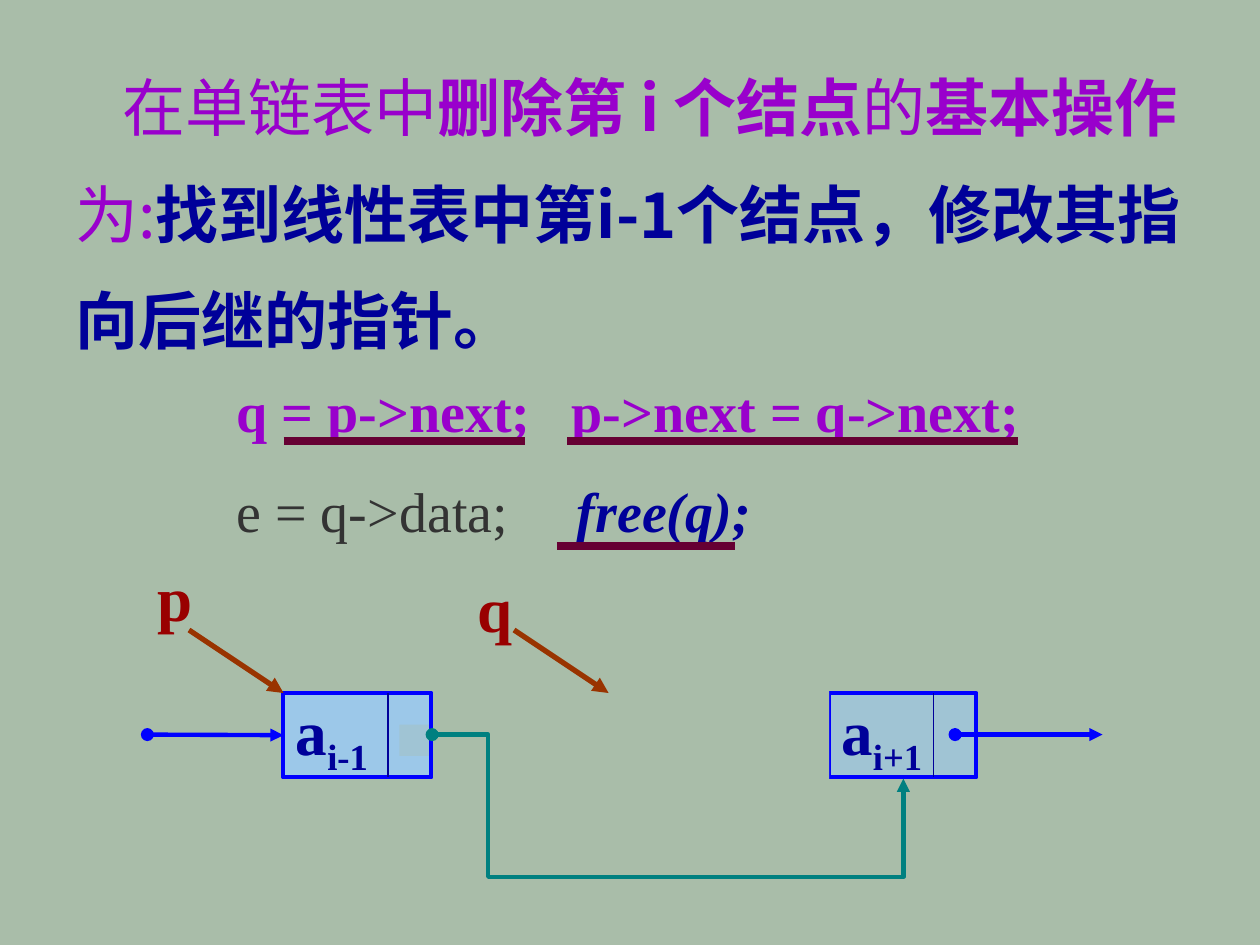
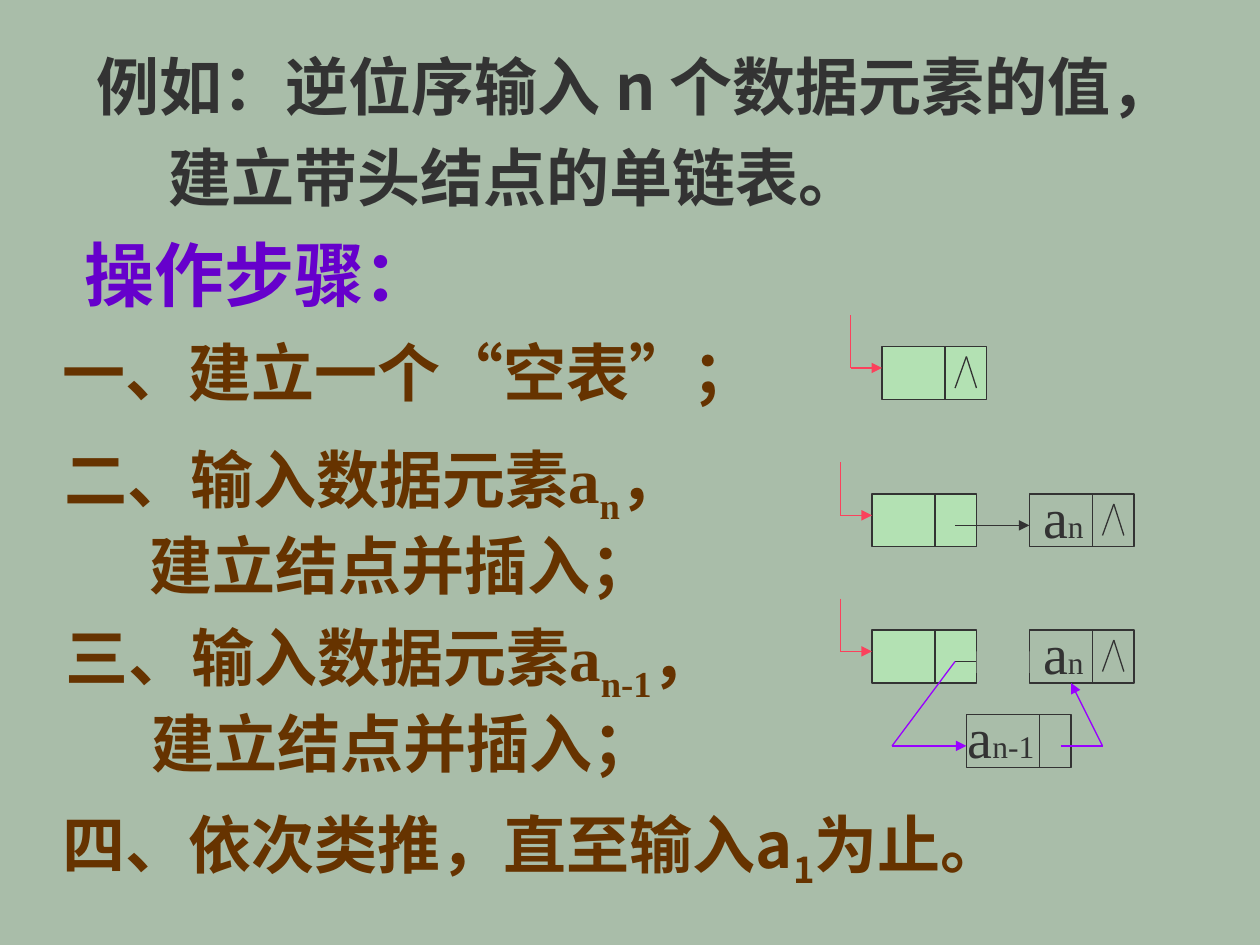
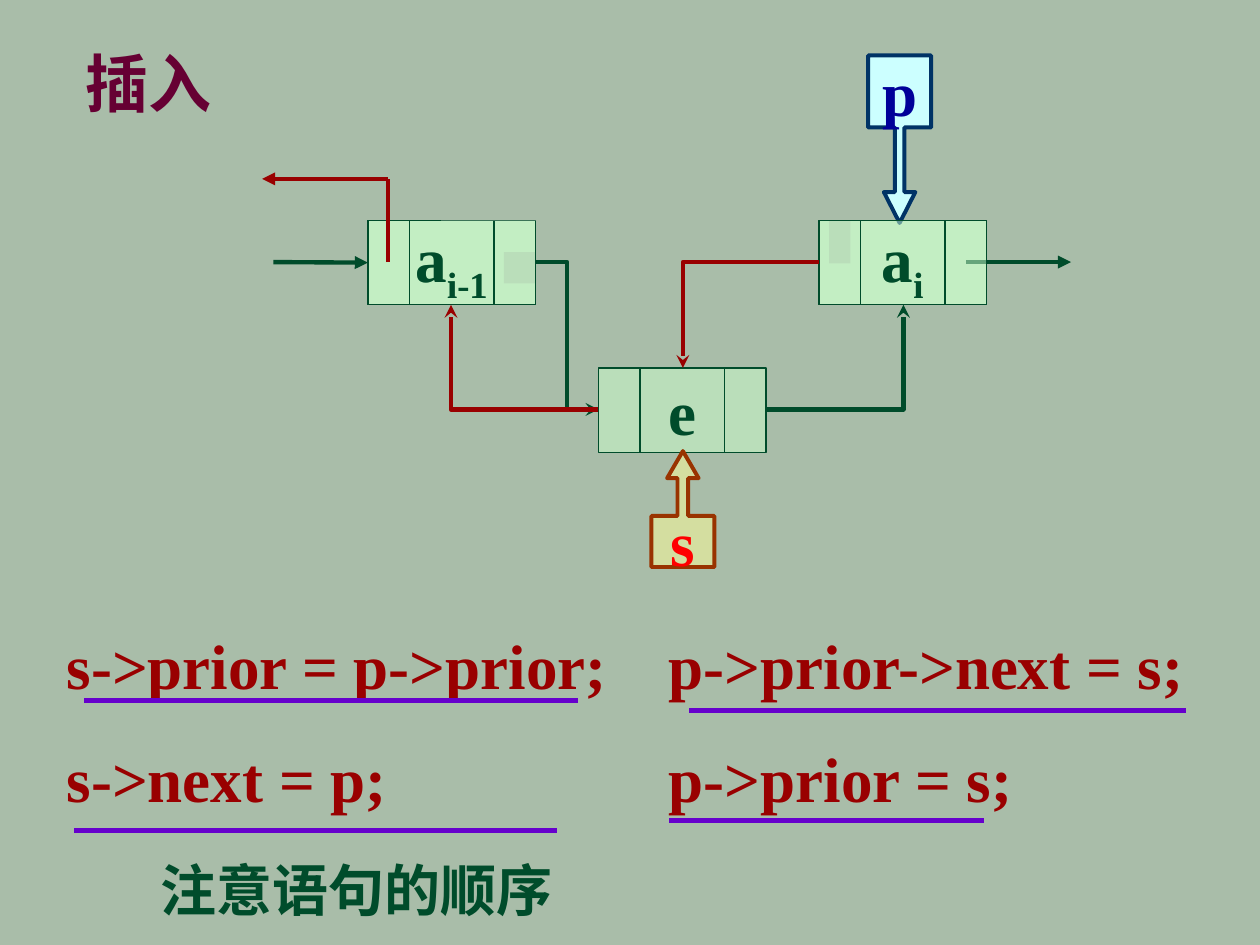
from lxml.etree import SubElement
from pptx import Presentation
from pptx.dml.color import RGBColor
from pptx.enum.shapes import MSO_CONNECTOR as Connector, MSO_SHAPE as Shape
from pptx.enum.text import MSO_ANCHOR as Anchor, MSO_AUTO_SIZE as AutoSize, PP_ALIGN as Align
from pptx.oxml.ns import qn
from pptx.util import Inches, Pt

SAGE = RGBColor(0xA9, 0xBD, 0xA9)
VIOLET = RGBColor(0x99, 0x00, 0xCC)
PURPLE = RGBColor(0x66, 0x00, 0xCC)
LILAC = RGBColor(0x99, 0x00, 0xFF)
NAVY = RGBColor(0x00, 0x00, 0x99)
BLUE = RGBColor(0x00, 0x00, 0xFF)
SKY = RGBColor(0x99, 0xCC, 0xFF)
TEAL = RGBColor(0x00, 0x80, 0x80)
DARK = RGBColor(0x33, 0x33, 0x33)
RUST = RGBColor(0x99, 0x33, 0x00)
BROWN = RGBColor(0x66, 0x33, 0x00)
RED = RGBColor(0x99, 0x00, 0x00)
BRIGHT_RED = RGBColor(0xFF, 0x00, 0x00)
ROSE = RGBColor(0xFB, 0x41, 0x5C)
WINE = RGBColor(0x66, 0x00, 0x33)
MINT = RGBColor(0xB3, 0xE1, 0xB3)
PALE_GREEN = RGBColor(0xCC, 0xFF, 0xCC)
FOREST = RGBColor(0x00, 0x4C, 0x2B)
ICE = RGBColor(0xCC, 0xFF, 0xFF)
STEEL = RGBColor(0x00, 0x33, 0x66)
CREAM = RGBColor(0xFF, 0xFF, 0x99)

CJK, ROMAN = "Noto Sans CJK SC", "Times New Roman"
LABEL = dict(size=36, font=ROMAN, bold=True)
STEP = dict(size=36, font=CJK, bold=True, color=BROWN)
SMALL = dict(size=32, font=ROMAN, color=DARK)
SUB, NORMAL = dict(base=-25), dict(base=0)

DELETE_TEXT = [[
    ("\t", dict(size=40, font=CJK, color=VIOLET)),
    ("在单链表中", dict(size=36)), ("删除第 i 个结点", dict(bold=True)),
    ("的", dict(bold=False)), ("基本操作", dict(bold=True)), ("为:", dict(bold=False)),
    ("找到线性表中第i-1个结点，修改其指向后继的指针。", dict(color=NAVY, bold=True))]]
DELETE_CODE = [
    [("q = p->next;\tp->next = q->next;", dict(size=32, font=ROMAN, color=VIOLET, bold=True))],
    [("e = q->data;\t", dict(color=DARK, bold=False)),
     ("free(q);", dict(color=NAVY, bold=True, italic=True))]]
DELETE_POINTERS = [("p", 1.15, 4.38, 1.5), ("q", 3.69, 4.47, 4.08)]
DELETE_RULES = [(1.5 + 0.75, 4.17, 3.5), (4.5, 8.08, 3.5), (4.42, 5.83, 4.33)]

EXAMPLE = [[("例如：逆位序输入 n 个数据元素的值，", dict(size=36, font=CJK, bold=True, color=DARK))],
           [("建立带头结点的单链表。", {})]]
HEADINGS = [
    ("操作步骤：", (0.57, 1.79, 3.01, 0.77), 40, PURPLE),
    ("一、建立一个“空表”；", (0.4, 2.6, 5.74, 0.7), 36, BROWN)]
INSERT_STEPS = [("二、输入数据元素", "n", 0.41, 3.45), ("三、输入数据元素", "n-1", 0.42, 4.86)]
LAST_STEP = [[("四、依次类推，直至输入a", STEP), ("1", SUB), ("为止。", NORMAL)]]
HEAD_NODES = [(7, 2.75), (6.92, 3.92), (6.92, 5)]
TAIL_NODES = [(8.17, 3.92), (8.17, 5)]

INSERT_CODE = [
    [("s->prior = p->prior;\tp->prior->next = s;", dict(LABEL, color=RED))],
    [("s->next = p;\tp->prior = s;", {})]]
INSERT_RULES = [(0.67, 4.59, 5.56), (5.47, 9.41, 5.64), (0.59, 4.42, 6.59), (5.31, 7.81, 6.51)]
CALLOUTS = [
    ("p", Shape.DOWN_ARROW_CALLOUT, (6.89, 0.44, 0.5, 1.33), (0.15, 0.25, 0.49, 0.43),
     ICE, None, STEEL, NAVY),
    ("s", Shape.UP_ARROW_CALLOUT, (5.17, 3.58, 0.5, 0.92), (0.17, 0.25, 0.43, 0.44),
     CREAM, 50, RUST, BRIGHT_RED)]
INSERT_LINKS = [
    ((6.08, 3.25), (7.17, 2.42), FOREST, "bentConnector2"),
    ((4.25, 2.08), (4.75, 3.25), FOREST, "bentConnector3"),
    ((6.5, 2.08), (5.42, 2.92), RED, "bentConnector2"),
    ((4.75, 3.25), (3.58, 2.42), RED, "bentConnector2")]


def write(shape, paragraphs, align=Align.LEFT, spacing=None, before=None, indents=(), tabs=(),
          wrap=False, anchor=Anchor.TOP, grow=True):
    """Fill a shape with paragraphs whose runs inherit the format of the run before."""
    frame = shape.text_frame
    settings = dict(word_wrap=wrap, vertical_anchor=anchor,
                    auto_size=AutoSize.SHAPE_TO_FIT_TEXT if grow else AutoSize.NONE)
    for name, value in settings.items():
        setattr(frame, name, value)
    style = {}
    for index, runs in enumerate(paragraphs):
        paragraph = frame.add_paragraph() if index else frame.paragraphs[0]
        for name, value in dict(alignment=align, line_spacing=spacing, space_before=before).items():
            setattr(paragraph, name, value)
        properties = paragraph._p.get_or_add_pPr()
        if indents:
            properties.set("marL", str(Inches(indents[index])))
        if tabs:
            tab_list = SubElement(properties, qn("a:tabLst"))
            SubElement(tab_list, qn("a:tab"), pos=str(Inches(tabs[index])), algn="l")
        for text, changes in runs:
            style = {**style, **changes}
            add_run(paragraph, text, style)


def add_run(paragraph, text, style):
    """Add one run in the given style."""
    run = paragraph.add_run()
    run.text = text
    font = run.font
    formats = dict(size=Pt(style["size"]), name=style["font"], bold=style.get("bold", False),
                   italic=style.get("italic", False))
    for name, value in formats.items():
        setattr(font, name, value)
    font.color.rgb = style["color"]
    properties = run._r.get_or_add_rPr()
    SubElement(properties, qn("a:ea"), typeface=CJK)
    if style.get("base"):
        properties.set("baseline", str(style["base"] * 1000))


def add_text(slide, bounds, paragraphs, **options):
    """Add a text box."""
    write(slide.shapes.add_textbox(*map(Inches, bounds)), paragraphs, **options)


def add_box(slide, bounds, fill=None, alpha=None, line=None, width=0.75, kind=Shape.RECTANGLE):
    """Add a flat shape, with an optional fill, opacity and outline."""
    shape = slide.shapes.add_shape(kind, *map(Inches, bounds))
    shape.shadow.inherit = False
    if fill is None:
        shape.fill.background()
    else:
        shape.fill.solid()
        shape.fill.fore_color.rgb = fill
    if alpha:
        color = shape._element.spPr.find(qn("a:solidFill"))[0]
        SubElement(color, qn("a:alpha"), val=str(alpha * 1000))
    if line is None:
        shape.line.fill.background()
    else:
        shape.line.color.rgb = line
        shape.line.width = Pt(width)
    return shape


def add_line(slide, start, end, color, width=0.75, head=None, tail=None, bend=None, bends=(),
             target=None):
    """Add a straight or bent connector, joined to the left side of a target if given."""
    kind = Connector.ELBOW if bend else Connector.STRAIGHT
    connector = slide.shapes.add_connector(kind, *map(Inches, (*start, *end)))
    connector.line.color.rgb = color
    connector.line.width = Pt(width)
    properties = connector._element.spPr
    if bend:
        geometry = properties.find(qn("a:prstGeom"))
        geometry.set("prst", bend)
        guides = geometry.find(qn("a:avLst"))
        for number, value in enumerate(bends, 1):
            SubElement(guides, qn("a:gd"), name=f"adj{number}", fmla=f"val {value}")
    outline = properties.find(qn("a:ln"))
    for tag, end_type in (("a:headEnd", head), ("a:tailEnd", tail)):
        if end_type:
            SubElement(outline, qn(tag), type=end_type)
    SubElement(properties, qn("a:effectLst"))
    if target is not None:
        connector.end_connect(target, 1)


def add_rules(slide, rules, color, width):
    """Underline code statements."""
    for left, right, y in rules:
        add_line(slide, (left, y), (right, y), color, width)


def add_node(slide, bounds, name, subscript, fill, line, width, color, align=Align.LEFT):
    """Add a half transparent list node with its label."""
    node = add_box(slide, bounds, fill, 50, line, width)
    runs = [(name, dict(LABEL, color=color))] + ([(subscript, SUB)] if subscript else [])
    write(node, [runs], align=align, anchor=Anchor.MIDDLE, grow=False)
    return node


def add_dividers(slide, left, top, height, color, offsets):
    """Divide a node into fields."""
    for offset in offsets:
        add_line(slide, (left + offset, top), (left + offset, top + height), color)


def build_delete(slide):
    """Show how a node is deleted."""
    top, height, middle = 5.5, 0.67, 5.83
    arrow = dict(color=BLUE, width=2.5, head="oval", tail="triangle")

    def node(left, subscript):
        return add_node(slide, (left, top, 1.17, height), "a", subscript, SKY, BLUE, 2.25, NAVY)

    add_text(slide, (0.5, 0.17, 9.02, 2.72), DELETE_TEXT, spacing=1.4, tabs=[0.37], wrap=True)
    before = node(2.25, "i-1")
    add_line(slide, (1.17, middle), (2.25, middle), target=before, **arrow)
    node(6.58, "i+1")
    add_dividers(slide, 6.58, top, height, NAVY, [0.83])
    add_line(slide, (7.58, middle), (8.75, middle), **arrow)
    add_box(slide, (3.17, 5.75, 1.25, 0.25), SAGE)
    node(2.25, "i-1")
    add_dividers(slide, 2.25, top, height, NAVY, [0.83])
    add_line(slide, (3.43, middle), (7.17, 6.18), TEAL, 2.5, "oval", "triangle",
             "bentConnector4", (11900, 322400))
    add_box(slide, (4.33, 5.42, 2.25, 0.92), SAGE)
    add_text(slide, (1.78, 2.67, 6.64, 1.7), DELETE_CODE, spacing=1.5, tabs=[2.66, 2.7], wrap=True)
    for name, left, label_top, start in DELETE_POINTERS:
        add_line(slide, (start, 5), (start + 0.75, 5.5), RUST, 3, tail="triangle")
        add_text(slide, (left, label_top, 0.48, 0.7), [[(name, dict(LABEL, color=RED))]])
    add_rules(slide, DELETE_RULES, WINE, 4.5)


def build_example(slide):
    """Show how a list is built from its last element."""
    add_text(slide, (0.67, 0.21, 9.08, 1.54), EXAMPLE, spacing=1.2, indents=[0, 0.57], wrap=True)
    for text, bounds, size, color in HEADINGS:
        add_text(slide, bounds, [[(text, dict(LABEL, size=size, color=color))]])
    for text, subscript, left, top in INSERT_STEPS:
        first = [(text, STEP), ("a", dict(font=ROMAN)), (subscript, SUB), ("，", NORMAL)]
        add_text(slide, (left, top, 5.92, 1.3), [first, [("建立结点并插入；", {})]],
                 indents=[0, 0.68], wrap=True)
    add_text(slide, (0.4, 6.34, 7.67, 0.7), LAST_STEP)

    def cell(left, top, fill=None, divider=0.5):
        add_box(slide, (left, top, 0.83, 0.42), fill, line=DARK)
        add_dividers(slide, left, top, 0.42, DARK, [divider])

    def null_mark(left, top):
        for foot in (0.58, 0.75):
            add_line(slide, (left + 0.67, top + 0.08), (left + foot, top + 0.33), DARK)

    def element(left, top, width, subscript):
        add_text(slide, (left, top - 0.14, width, 0.63),
                 [[("a", SMALL), (subscript, dict(size=18))]])

    for left, top in HEAD_NODES:
        cell(left, top, MINT)
        corner = (left - 0.25, top + 0.17)
        add_line(slide, corner, (left, top + 0.17), ROSE, tail="triangle")
        add_line(slide, (left - 0.25, top - 0.25), corner, ROSE)
    null_mark(*HEAD_NODES[0])
    for left, top in TAIL_NODES:
        cell(left, top)
        null_mark(left, top)
        add_line(slide, (7.58, top + 0.25), (left, top + 0.25), DARK, tail="triangle")
        element(left + 0.01, top, 0.52, "n")
    cell(7.67, 5.67, divider=0.58)
    element(7.58, 5.67, 0.73, "n-1")
    for start, end, tail in [((8.42, 5.92), (8.75, 5.92), None),
                             ((8.75, 5.92), (8.5, 5.42), "triangle"),
                             ((7.58, 5.25), (7.08, 5.92), None),
                             ((7.08, 5.92), (7.67, 5.92), "triangle")]:
        add_line(slide, start, end, LILAC, tail=tail)
    add_box(slide, (7.75, 5.17, 0.42, 0.17), SAGE)


def build_insert(slide):
    """Show how a node is inserted in a doubly linked list."""
    top, middle = 1.75, 2.08

    def node(left, node_top, name, subscript=None):
        return add_node(slide, (left, node_top, 1.33, 0.67), name, subscript,
                        PALE_GREEN, FOREST, 0.75, FOREST, Align.CENTER)

    def divide(left, node_top):
        add_dividers(slide, left, node_top, 0.67, FOREST, [0.33, 1])

    title = slide.shapes.title
    for name, value in zip(("left", "top", "width", "height"), (0.58, 0.3, 1.21, 0.7)):
        setattr(title, name, Inches(value))
    write(title, [[("插入", dict(LABEL, color=WINE))]])
    before = node(2.92, top, "a", "i-1")
    add_line(slide, (2.17, middle), (2.92, middle), FOREST, 2.5, tail="triangle", target=before)
    node(6.5, top, "a", "i")
    add_line(slide, (7.67, middle), (8.5, middle), FOREST, 2.5, tail="triangle")
    node(4.75, 2.92, "e")
    divide(4.75, 2.92)
    add_text(slide, (0.43, 4.62, 9.1, 1.9), INSERT_CODE, spacing=1.5, tabs=[4.78, 4.78], wrap=True)
    for name, kind, bounds, adjustments, fill, alpha, line, color in CALLOUTS:
        callout = add_box(slide, bounds, fill, alpha, line, 2.25, kind)
        for index, value in enumerate(adjustments):
            callout.adjustments[index] = value
        write(callout, [[(name, dict(LABEL, color=color))]], align=Align.CENTER,
              anchor=Anchor.MIDDLE, grow=False)
    add_rules(slide, INSERT_RULES, PURPLE, 3)
    add_box(slide, (4, 2, 2.5, 0.25), SAGE)
    node(2.92, top, "a", "i-1")
    divide(2.92, top)
    for bounds in [(3.5, 1.17, 3.25, 0.58), (6.58, 1.67, 0.17, 0.42)]:
        add_box(slide, bounds, SAGE)
    node(6.5, top, "a", "i")
    divide(6.5, top)
    for start, end, color, bend in INSERT_LINKS:
        add_line(slide, start, end, color, 2.5, tail="stealth", bend=bend)
    add_line(slide, (3.08, middle), (3.08, 1.42), RED, 2.5)
    add_line(slide, (3.08, 1.42), (2.08, 1.42), RED, 2.5, tail="triangle")
    note = [[("注意语句的顺序", dict(size=32, font=CJK, bold=True, color=FOREST))]]
    add_text(slide, (0.9, 6.74, 3.86, 0.63), note, align=Align.CENTER, before=Pt(16),
             wrap=True, anchor=Anchor.BOTTOM)


def main():
    """Build the presentation."""
    presentation = Presentation()
    presentation.slide_width, presentation.slide_height = Inches(10), Inches(7.5)
    background = presentation.slide_master.background.fill
    background.solid()
    background.fore_color.rgb = SAGE
    title_only, blank = presentation.slide_layouts[5], presentation.slide_layouts[6]
    for build, layout in [(build_delete, blank), (build_example, blank), (build_insert, title_only)]:
        build(presentation.slides.add_slide(layout))
    presentation.save("out.pptx")


if __name__ == "__main__":
    main()
